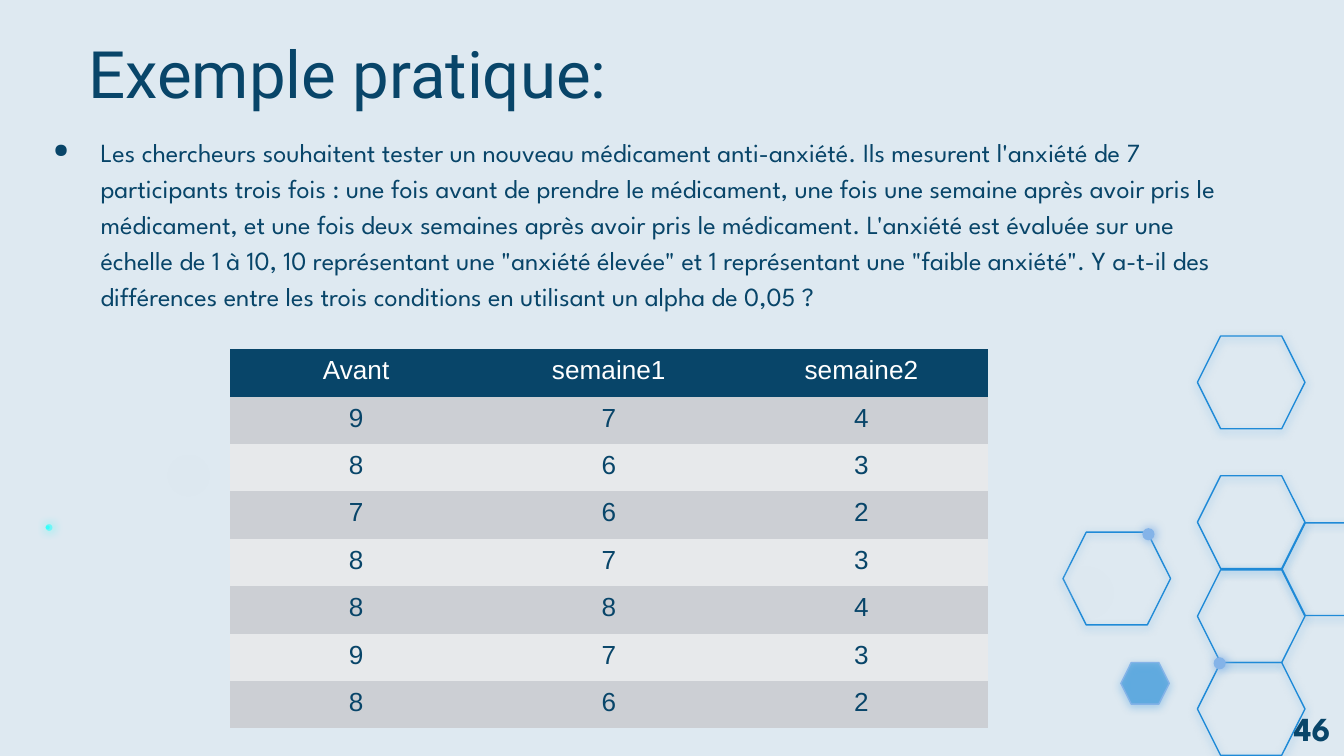
from lxml import etree
from pptx import Presentation
from pptx.dml.color import RGBColor
from pptx.enum.shapes import MSO_SHAPE
from pptx.enum.text import MSO_ANCHOR, PP_ALIGN
from pptx.oxml.ns import qn
from pptx.util import Inches, Pt

HEX, DOT = MSO_SHAPE.HEXAGON, MSO_SHAPE.OVAL
TOP, CENTER = MSO_ANCHOR.TOP, PP_ALIGN.CENTER

COLORS = {
    "back": "DEE9F1", "navy": "084569", "blue": "1F8AD7", "sky": "84B3E8",
    "cyan": "35FFFB", "white": "FFFFFF", "dark": "CCCFD4", "light": "E7E9EB",
}
# Shadow: color, opacity %, blur pt, distance pt, angle
CELL = ("blue", 50, 4.5, 1.5, 90)
GLOW = ("sky", 100, 5.6, 0.8, 11)
SPARK = ("cyan", 100, 5.6, 0.8, 11)
HAZE = ("back", 35, 4.5, 6.8, 80)

BODY = (
    "Les chercheurs souhaitent tester un nouveau médicament anti-anxiété. "
    "Ils mesurent l'anxiété de 7 participants trois fois : une fois avant de "
    "prendre le médicament, une fois une semaine après avoir pris le "
    "médicament, et une fois deux semaines après avoir pris le médicament. "
    "L'anxiété est évaluée sur une échelle de 1 à 10, 10 représentant une "
    "\"anxiété élevée\" et 1 représentant une \"faible anxiété\". Y a-t-il des "
    "différences entre les trois conditions en utilisant un alpha de 0,05 ?"
)
ROWS = [
    ("Avant", "semaine1", "semaine2"),
    (9, 7, 4), (8, 6, 3), (7, 6, 2), (8, 7, 3), (8, 8, 4), (9, 7, 3), (8, 6, 2),
]


def rgb(name):
    return RGBColor.from_string(COLORS[name])


def add(parent, tag, **attrs):
    node = etree.SubElement(parent, qn(tag))
    for key, value in attrs.items():
        node.set(key, str(value))
    return node


class Deck:
    def __init__(self, wide, high):
        self.prs = Presentation()
        self.prs.slide_width, self.prs.slide_height = Inches(wide), Inches(high)
        self.slide = self.prs.slides.add_slide(self.prs.slide_layouts[6])
        fill = self.slide.background.fill
        fill.solid()
        fill.fore_color.rgb = rgb("back")

    def style(self, para, font, size, color, bold=False):
        for run in para.runs:
            run.font.name, run.font.size = font, Pt(size)
            run.font.color.rgb, run.font.bold = rgb(color), bold

    def shape(self, kind, box, shadow, fill=None, alpha=100, line=None):
        item = self.slide.shapes.add_shape(kind, *map(Inches, box))
        if kind == HEX:
            item.adjustments[0] = 0.25
        if fill:
            item.fill.solid()
            item.fill.fore_color.rgb = rgb(fill)
            if alpha < 100:
                tint = item.fill._xPr.find(".//" + qn("a:srgbClr"))
                add(tint, "a:alpha", val=alpha * 1000)
        else:
            item.fill.background()
        if line:
            item.line.color.rgb, item.line.width = rgb(line), Pt(0.75)
        else:
            item.line.fill.background()
        # Soft outer shadow
        item.shadow.inherit = False
        color, dense, blur, dist, angle = shadow
        effects = item._element.spPr.find(qn("a:effectLst"))
        outer = add(effects, "a:outerShdw", blurRad=Pt(blur), dist=Pt(dist),
                    dir=angle * 60000, algn="bl", rotWithShape=0)
        tint = add(outer, "a:srgbClr", val=COLORS[color])
        add(tint, "a:alpha", val=dense * 1000)

    def text(self, words, box, font, size, bold=False, bullet=False, pad=0.1):
        frame = self.slide.shapes.add_textbox(*map(Inches, box)).text_frame
        frame.word_wrap, frame.vertical_anchor = True, TOP
        frame.margin_left = frame.margin_right = Inches(0.1)
        frame.margin_top = frame.margin_bottom = Inches(pad)
        frame.text = words
        para = frame.paragraphs[0]
        if bullet:
            para.line_spacing = 1.15
            props = para._p.get_or_add_pPr()
            props.set("marL", str(Inches(0.5)))
            props.set("indent", str(Inches(-0.35)))
            add(add(props, "a:buClr"), "a:srgbClr", val=COLORS["navy"])
            add(props, "a:buSzPct", val=75000)
            add(props, "a:buChar", char="●")
        self.style(para, font, size, "navy", bold)

    def table(self, rows, box):
        grid = self.slide.shapes.add_table(
            len(rows), len(rows[0]), *map(Inches, box)).table
        for r, row in enumerate(rows):
            grid.rows[r].height = Inches(box[3] / len(rows))
            fill = "navy" if r == 0 else "dark" if r % 2 else "light"
            for c, value in enumerate(row):
                cell = grid.cell(r, c)
                # Borders come before the fill
                props = cell._tc.get_or_add_tcPr()
                for side in ("a:lnL", "a:lnR", "a:lnT", "a:lnB"):
                    add(add(props, side, w=0), "a:noFill")
                cell.fill.solid()
                cell.fill.fore_color.rgb = rgb(fill)
                cell.text = str(value)
                para = cell.text_frame.paragraphs[0]
                para.alignment = CENTER
                self.style(para, "Arial", 14, "navy" if r else "white")


def main():
    deck = Deck(10, 10 * 9 / 16)

    # Honeycomb
    spots = [(9.54, 3.89), (8.91, 3.54), (8.91, 4.24), (8.91, 4.93),
             (7.91, 3.96), (8.91, 2.5)]
    for x, y in spots:
        deck.shape(HEX, (x, y, 0.8, 0.69), CELL, line="blue")
    deck.shape(HEX, (8.34, 4.93, 0.36, 0.31), CELL, "blue", 53, "sky")
    for x, y in [(9.03, 4.89), (8.5, 3.93)]:
        deck.shape(DOT, (x, y, 0.09, 0.09), GLOW, "sky")

    # Title and question
    deck.text("Exemple pratique:", (0.56, 0.15, 8.43, 0.63), "Roboto", 35)
    deck.text(BODY, (0.15, 0.88, 9.03, 3.02), "League Spartan", 14, bullet=True)

    # Faint dots
    deck.shape(DOT, (1.27, 3.33, 0.23, 0.23), HAZE, "back", 10)
    deck.shape(DOT, (0.34, 3.9, 0.05, 0.05), SPARK, "cyan", 58)
    deck.shape(DOT, (0.34, 3.91, 0.03, 0.03), SPARK, "cyan")
    deck.shape(DOT, (7.91, 4.16, 0.32, 0.32), HAZE, "back", 10)

    # Scores and page number
    deck.table(ROWS, (1.71, 2.6, 5.64, 2.82))
    deck.text("46", (9.53, 5.22, 0.63, 0.4), "League Spartan", 18, bold=True,
              pad=0.05)

    deck.prs.save("out.pptx")


if __name__ == "__main__":
    main()
